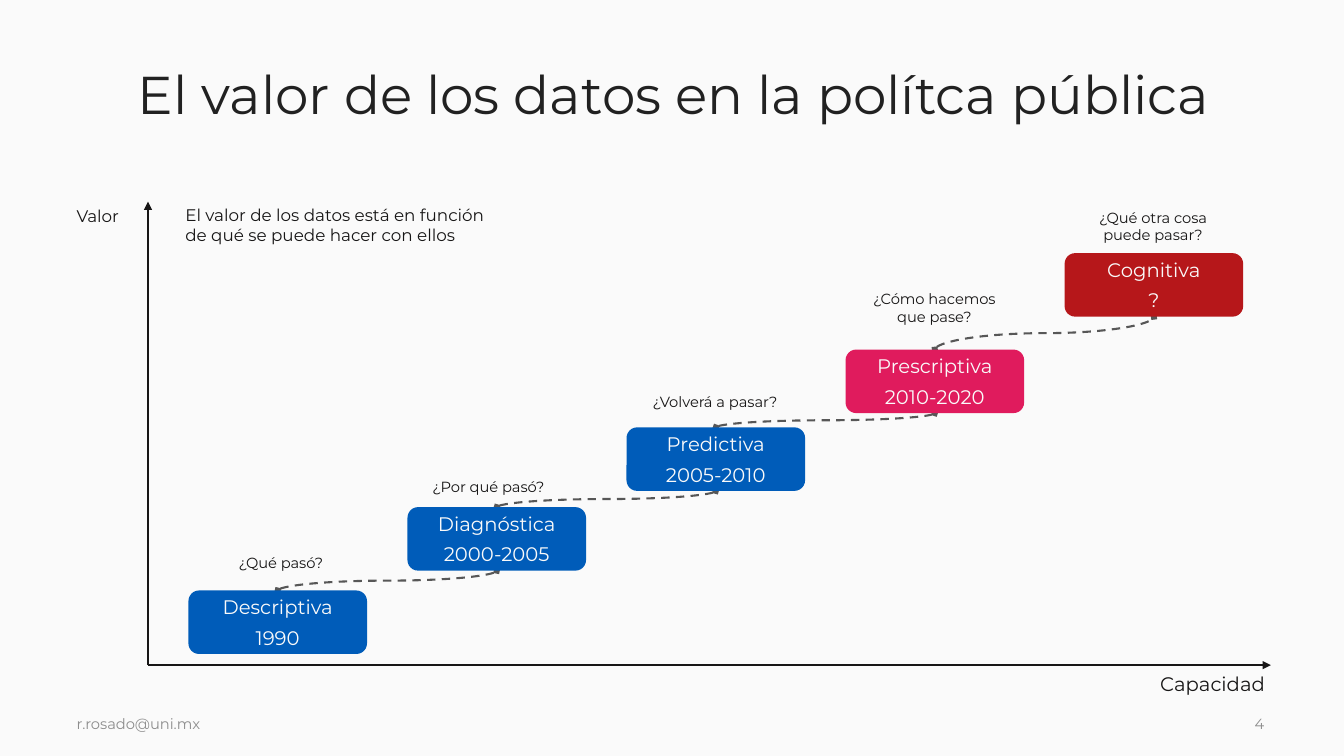
from collections import namedtuple
from itertools import pairwise

from lxml.etree import SubElement
from pptx import Presentation
from pptx.dml.color import RGBColor
from pptx.enum.dml import MSO_LINE
from pptx.enum.shapes import MSO_CONNECTOR, MSO_SHAPE
from pptx.enum.text import MSO_ANCHOR, PP_ALIGN
from pptx.oxml.ns import qn
from pptx.util import Cm, Pt

INK, PAPER, GREY, CURVE_GREY = "171616", "FAFAFA", "8D8D8D", "575757"
BLUE, PINK, RED = "005CB9", "E01B5D", "B6171A"

Stage = namedtuple("Stage", "name period top color question question_left question_top")
STAGES = [
    Stage("Descriptiva", "1990", 14.88, BLUE, "¿Qué pasó?", 4.93, 13.84),
    Stage("Diagnóstica", "2000-2005", 12.78, BLUE, "¿Por qué pasó?", 10.16, 11.91),
    Stage("Predictiva", "2005-2010", 10.77, BLUE, "¿Volverá a pasar?", 15.87, 9.78),
    Stage("Prescriptiva", "2010-2020", 8.81, PINK, "¿Cómo hacemos que pase?", 21.4, 7.19),
    Stage("Cognitiva", "?", 6.38, RED, "¿Qué otra cosa puede pasar?", 26.91, 5.13),
]
STAGE_LEFT, STAGE_STEP, STAGE_WIDTH, STAGE_HEIGHT = 4.75, 5.52, 4.5, 1.6
QUESTION_WIDTH, QUESTION_HEIGHT = 4.3, 0.75
ORIGIN_X, ORIGIN_Y, AXIS_TOP, AXIS_RIGHT = 3.73, 16.76, 5.08, 32.03

NO_INSETS = dict(margin_left=0, margin_top=0, margin_right=0, margin_bottom=0)
LEFT_INSET = NO_INSETS | dict(margin_left=Cm(0.25))
MIDDLE = dict(vertical_anchor=MSO_ANCHOR.MIDDLE)


def rgb(hex_color):
    return RGBColor.from_string(hex_color)


def apply_format(target, values):
    for name, value in values.items():
        setattr(target, name, value)


class Deck:
    font = "Montserrat"

    def __init__(self):
        self.presentation = Presentation()
        apply_format(self.presentation, dict(slide_width=Cm(33.87), slide_height=Cm(19.05)))
        self.slide = self.presentation.slides.add_slide(self.presentation.slide_layouts[5])
        background = self.slide.background.fill
        background.solid()
        background.fore_color.rgb = rgb(PAPER)

    def set_text(self, shape, lines, size, color, frame=None, **paragraph_format):
        """Fill the shape with one paragraph per line."""
        text_frame = shape.text_frame
        apply_format(text_frame, dict(word_wrap=True) | (frame or {}))
        text_frame.text = "\n".join(lines)
        for paragraph in text_frame.paragraphs:
            apply_format(paragraph, paragraph_format)
            for run in paragraph.runs:
                apply_format(run.font, dict(name=self.font, size=Pt(size)))
                run.font.color.rgb = rgb(color)

    def title(self, text, box, size, color):
        title = self.slide.shapes.title
        apply_format(title, dict(zip(("left", "top", "width", "height"), map(Cm, box))))
        self.set_text(title, [text], size, color, MIDDLE,
                      alignment=PP_ALIGN.CENTER, line_spacing=0.9)

    def label(self, text, box, size, color=INK, frame=None, align=PP_ALIGN.LEFT):
        label = self.slide.shapes.add_textbox(*map(Cm, box))
        self.set_text(label, [text], size, color, frame, alignment=align)

    def card(self, lines, box, color):
        card = self.slide.shapes.add_shape(MSO_SHAPE.ROUNDED_RECTANGLE, *map(Cm, box))
        card.shadow.inherit = False
        card.fill.solid()
        card.fill.fore_color.rgb = rgb(color)
        card.line.fill.background()
        self.set_text(card, lines, 14, PAPER, NO_INSETS | MIDDLE,
                      alignment=PP_ALIGN.CENTER, space_after=Pt(4.9))

    def connector(self, kind, start, end, color, **ends):
        """Draw a line; ends maps headEnd and tailEnd to arrowhead types."""
        connector = self.slide.shapes.add_connector(kind, *map(Cm, start + end))
        connector.line.width = Pt(1.5)
        connector.line.color.rgb = rgb(color)
        properties = connector._element.spPr
        outline = properties.find(qn("a:ln"))
        for tag, arrowhead in ends.items():
            SubElement(outline, qn(f"a:{tag}"), type=arrowhead)
        SubElement(properties, qn("a:effectLst"))
        return connector

    def axis(self, end):
        self.connector(MSO_CONNECTOR.STRAIGHT, (ORIGIN_X, ORIGIN_Y), end, INK,
                       tailEnd="triangle")

    def rising_curve(self, start, end):
        """Draw an S-curve that leaves and arrives vertically."""
        run, rise = end[0] - start[0], start[1] - end[1]
        left = (start[0] + end[0] - rise) / 2
        top = (start[1] + end[1] - run) / 2
        curve = self.connector(MSO_CONNECTOR.CURVE, (left, top), (left + rise, top + run),
                               CURVE_GREY, headEnd="diamond", tailEnd="diamond")
        curve.line.dash_style = MSO_LINE.DASH
        curve._element.spPr.find(qn("a:xfrm")).set("rot", str(270 * 60000))


def main():
    deck = Deck()
    deck.title("El valor de los datos en la polítca pública", (1.93, 1.35, 30.1, 2.21),
               38, "212121")

    lefts = [STAGE_LEFT + STAGE_STEP * index for index in range(len(STAGES))]
    for (left, stage), (next_left, next_stage) in pairwise(zip(lefts, STAGES)):
        deck.rising_curve((left + STAGE_WIDTH / 2, stage.top),
                          (next_left + STAGE_WIDTH / 2, next_stage.top + STAGE_HEIGHT))

    deck.axis((ORIGIN_X, AXIS_TOP))
    deck.axis((AXIS_RIGHT, ORIGIN_Y))
    deck.label("Valor", (1.93, 5.18, 1.5, 0.51), 12, frame=NO_INSETS)
    deck.label("Capacidad", (27.88, 16.94, 4, 0.61), 14, frame=LEFT_INSET,
               align=PP_ALIGN.RIGHT)
    deck.label("El valor de los datos está en función de qué se puede hacer con ellos",
               (4.42, 4.67, 8.41, 2.01), 12, frame=LEFT_INSET | MIDDLE)

    for left, stage in zip(lefts, STAGES):
        deck.card([stage.name, stage.period],
                  (left, stage.top, STAGE_WIDTH, STAGE_HEIGHT), stage.color)
        deck.label(stage.question, (stage.question_left, stage.question_top,
                                    QUESTION_WIDTH, QUESTION_HEIGHT),
                   10.5, align=PP_ALIGN.CENTER)

    deck.label("r.rosado@uni.mx", (1.68, 17.42, 19.66, 1.63), 10.5, GREY, MIDDLE)
    deck.label("4", (31.37, 17.42, 0.99, 1.63), 10.5, GREY, MIDDLE)
    deck.presentation.save("out.pptx")


if __name__ == "__main__":
    main()
